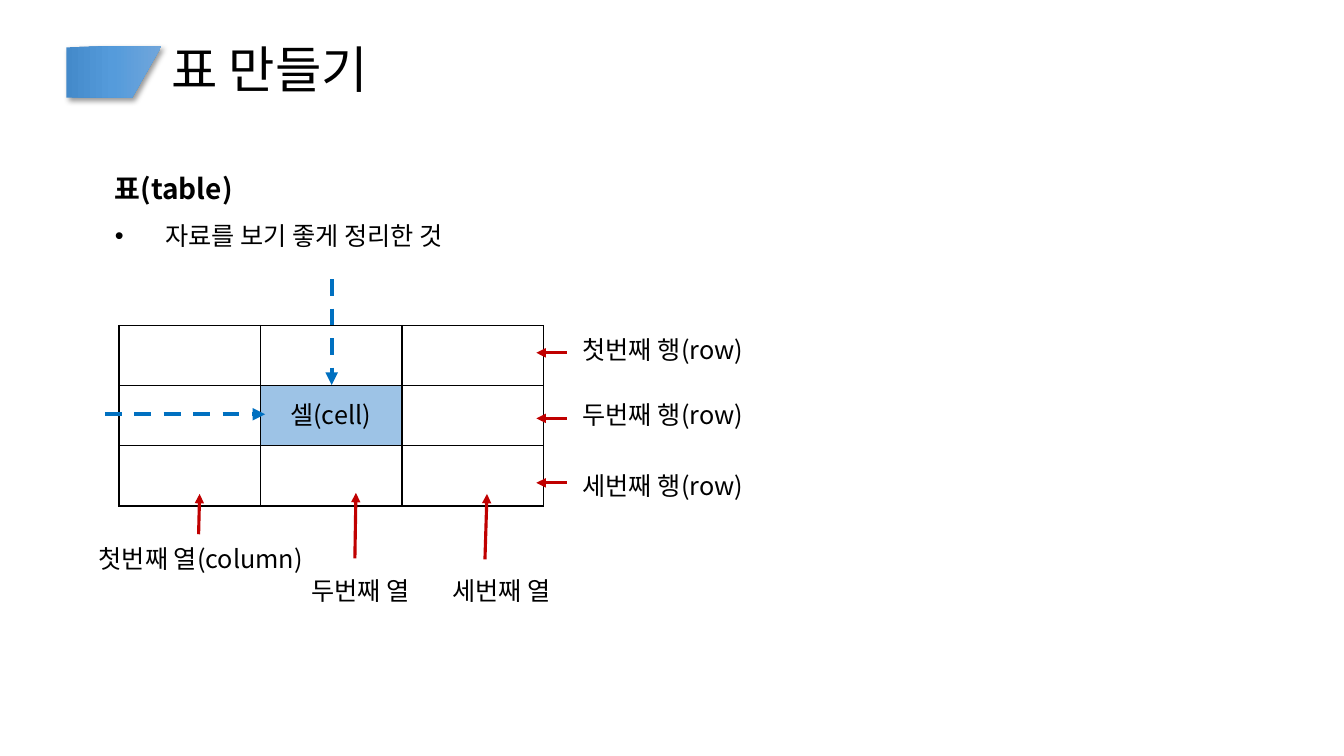
from copy import deepcopy

from pptx import Presentation
from pptx.dml.color import RGBColor
from pptx.enum.dml import MSO_LINE
from pptx.enum.shapes import MSO_CONNECTOR
from pptx.enum.text import MSO_ANCHOR
from pptx.oxml.ns import qn
from pptx.oxml.xmlchemy import OxmlElement
from pptx.util import Inches, Pt

STRAIGHT = MSO_CONNECTOR.STRAIGHT
DASH = MSO_LINE.DASH
TOP, MIDDLE = MSO_ANCHOR.TOP, MSO_ANCHOR.MIDDLE

# Content
FONT = "Noto Sans CJK KR"
BLACK, RED, BLUE, CELL_BLUE = "000000", "C00000", "0070C0", "9DC3E6"
TITLE = "표 만들기"
HEADING = "표(table)"
DEFINITION = "자료를 보기 좋게 정리한 것"
CELL_LABEL = "셀(cell)"
# label, label top, arrow height
ROW_LABELS = [("첫번째 행(row)", 3.27, 3.5),
              ("두번째 행(row)", 3.91, 4.15),
              ("세번째 행(row)", 4.62, 4.79)]
# label, label box, arrow start, arrow end
COLUMN_LABELS = [("첫번째 열(column)", (0.88, 5.34, 2.61, 0.4), (1.97, 5.3), (1.98, 4.9)),
                 ("두번째 열", (2.99, 5.66, 2.33, 0.4), (3.52, 5.54), (3.53, 4.89)),
                 ("세번째 열", (4.39, 5.66, 2.61, 0.4), (4.81, 5.55), (4.83, 4.9))]
CELL_ARROWS = [((1.04, 4.11), (2.63, 4.11)), ((3.29, 2.77), (3.29, 3.82))]
BANNER = [(1.31, 0.97), (1.6, 0.46), (1.03, 0.46), (0.66, 0.47), (0.66, 0.97)]
BANNER_COLORS = ["448ACA", "559BDB", "71A6DB"]
GRID_SIZE, GRID_BOX = 3, (1.18, 3.23, 4.21, 1.79)

prs = Presentation()
prs.slide_width, prs.slide_height = Inches(13.33), Inches(7.5)
slide = prs.slides.add_slide(prs.slide_layouts[6])


def rgb(color):
    return RGBColor.from_string(color)


def add_child(parent, tag, **attributes):
    child = OxmlElement(tag)
    for key, value in attributes.items():
        child.set(key, str(value))
    parent.append(child)
    return child


def add_text(box, *lines, size=18, bold=False, spacing=1.0, anchor=TOP):
    frame = slide.shapes.add_textbox(*map(Inches, box)).text_frame
    frame.word_wrap = True
    frame.vertical_anchor = anchor
    for i, line in enumerate(lines):
        paragraph = frame.add_paragraph() if i else frame.paragraphs[0]
        paragraph.line_spacing = spacing
        run = paragraph.add_run()
        run.text = line
        run.font.size, run.font.bold, run.font.name = Pt(size), bold, FONT
        run.font.color.rgb = rgb(BLACK)
        add_child(run.font._element, "a:ea", typeface=FONT)
    return frame


def add_arrow(start, end, color, width, dash=None):
    arrow = slide.shapes.add_connector(STRAIGHT, *map(Inches, start + end))
    arrow.line.color.rgb = rgb(color)
    arrow.line.width = Pt(width)
    if dash:
        arrow.line.dash_style = dash
    add_child(arrow.line._get_or_add_ln(), "a:tailEnd", type="triangle")
    add_child(arrow._element.spPr, "a:effectLst")


def add_borders(cell, color, width):
    properties = cell._tc.get_or_add_tcPr()
    for i, side in enumerate(("lnL", "lnR", "lnT", "lnB")):
        border = OxmlElement(f"a:{side}")
        border.set("w", str(Pt(width)))
        add_child(add_child(border, "a:solidFill"), "a:srgbClr", val=color)
        properties.insert(i, border)


# Title banner with gradient and soft shadow
points = [(Inches(x), Inches(y)) for x, y in BANNER]
builder = slide.shapes.build_freeform(*points[0], scale=1.0)
builder.add_line_segments(points[1:], close=True)
banner = builder.convert_to_shape()
banner.fill.gradient()
banner.fill.gradient_angle = 0
stops = banner._element.spPr.find(qn("a:gradFill")).find(qn("a:gsLst"))
stops.insert(1, deepcopy(stops[0]))
for i, (stop, color) in enumerate(zip(banner.fill.gradient_stops, BANNER_COLORS)):
    stop.position = i / 2
    stop.color.rgb = rgb(color)
banner.line.fill.background()
banner.shadow.inherit = False
shadow = add_child(banner._element.spPr.find(qn("a:effectLst")), "a:outerShdw",
                   blurRad=Pt(4), dist=Pt(3), dir=45 * 60000, rotWithShape=0)
add_child(add_child(shadow, "a:srgbClr", val=BLACK), "a:alpha", val=40000)

# Title and definition
add_text((1.6, 0.33, 10.45, 0.77), TITLE, size=36, spacing=0.9, anchor=MIDDLE)
definition = add_text((1.04, 1.49, 11.44, 1.06), HEADING, DEFINITION, spacing=1.5)
heading, bullet = definition.paragraphs
heading.runs[0].font.size, heading.runs[0].font.bold = Pt(20), True
bullet_format = bullet._p.get_or_add_pPr()
bullet_format.set("marL", str(Inches(0.5)))
bullet_format.set("indent", str(Inches(-0.5)))
add_child(bullet_format, "a:buFont", typeface="Arial")
add_child(bullet_format, "a:buChar", char="•")

# Sample table with its centre cell highlighted
grid = slide.shapes.add_table(GRID_SIZE, GRID_SIZE, *map(Inches, GRID_BOX)).table
grid.first_row = grid.horz_banding = False
for cell in grid.iter_cells():
    cell.fill.background()
    add_borders(cell, BLACK, 1)
centre = grid.cell(1, 1)
centre.fill.solid()
centre.fill.fore_color.rgb = rgb(CELL_BLUE)

# Row, column and cell labels with arrows
for label, top, y in ROW_LABELS:
    add_arrow((5.62, y), (5.32, y), RED, 2.25)
    add_text((5.68, top, 2.12, 0.4), label)
for label, box, start, end in COLUMN_LABELS:
    add_text(box, label)
    add_arrow(start, end, RED, 2.25)
add_text((2.78, 3.91, 1.73, 0.4), CELL_LABEL)
for start, end in CELL_ARROWS:
    add_arrow(start, end, BLUE, 3, DASH)

prs.save("out.pptx")
